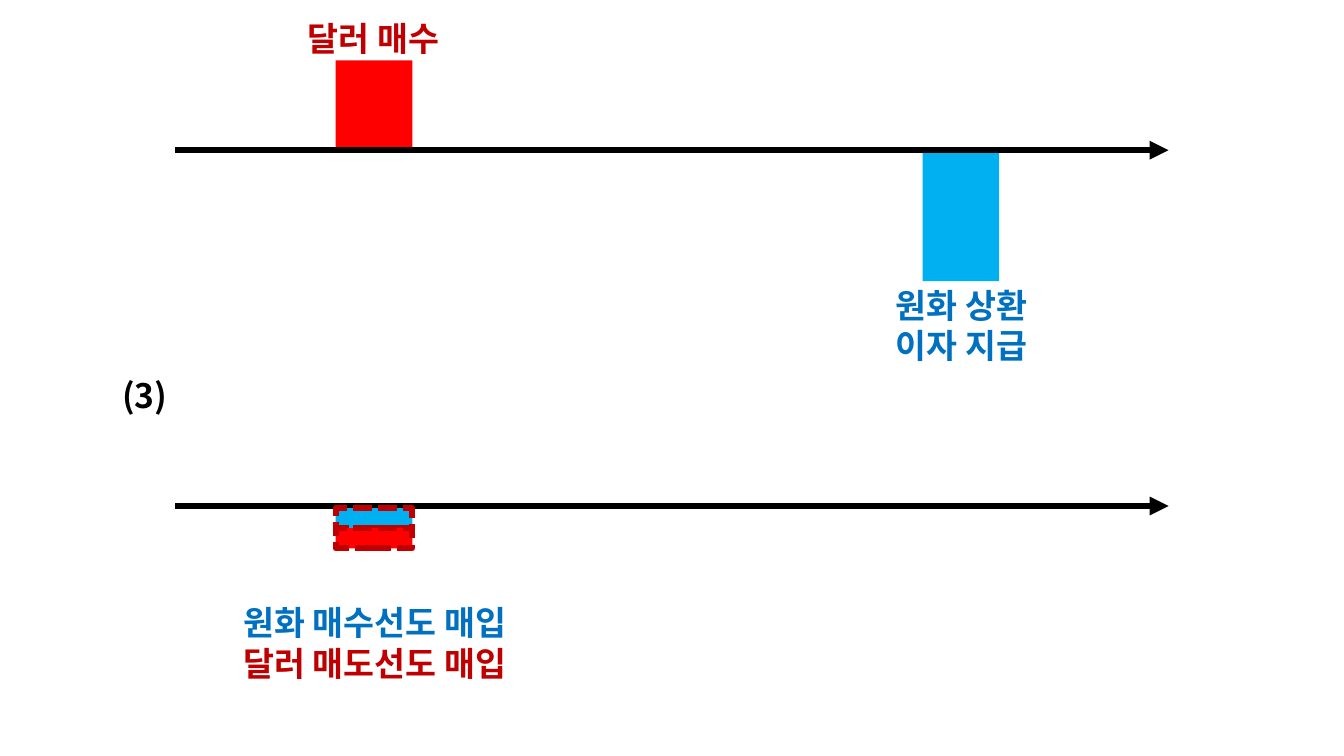
from lxml.etree import SubElement
from pptx import Presentation
from pptx.dml.color import RGBColor
from pptx.enum.dml import MSO_LINE
from pptx.enum.shapes import MSO_CONNECTOR, MSO_SHAPE
from pptx.enum.text import MSO_AUTO_SIZE, PP_ALIGN
from pptx.oxml.ns import qn
from pptx.util import Emu, Pt

EMU_PER_PX = 9144
FONT = "Noto Sans CJK KR"
COLORS = {
    "black": "000000",
    "dollar": "FF0000",
    "dollar_text": "C00000",
    "won": "00B0F0",
    "won_text": "0070C0",
}
AXIS_LEFT, AXIS_RIGHT = 174, 1159
SPOT_AXIS_Y, FORWARD_AXIS_Y = 149, 502
TODAY_X, MATURITY_X = 333, 915
FLOW_WIDTH = 76
FORWARD_HEIGHT = 20


def px(length):
    return Emu(length * EMU_PER_PX)


def rgb(color):
    return RGBColor.from_string(COLORS[color])


def add_time_axis(slide, y):
    axis = slide.shapes.add_connector(
        MSO_CONNECTOR.STRAIGHT, px(AXIS_LEFT), px(y), px(AXIS_RIGHT), px(y))
    axis.line.color.rgb = rgb("black")
    axis.line.width = Pt(4.5)
    SubElement(axis.line._get_or_add_ln(), qn("a:tailEnd"), type="triangle")
    SubElement(axis._element.spPr, qn("a:effectLst"))


def add_cash_flow(slide, left, top, height, color, is_forward=False):
    """Draw a cash flow block; a forward contract gets a dashed outline."""
    flow = slide.shapes.add_shape(
        MSO_SHAPE.RECTANGLE, px(left), px(top), px(FLOW_WIDTH), px(height))
    flow.shadow.inherit = False
    flow.fill.solid()
    flow.fill.fore_color.rgb = rgb(color)
    if is_forward:
        flow.line.color.rgb = rgb("dollar_text")
        flow.line.width = Pt(4.5)
        flow.line.dash_style = MSO_LINE.SQUARE_DOT
        dash = flow.line._get_or_add_ln().find(qn("a:prstDash"))
        dash.set("val", "sysDash")
    else:
        flow.line.fill.background()


def add_label(slide, left, top, width, height, lines):
    """Add centred bold lines, given as (wording, color) pairs."""
    label = slide.shapes.add_textbox(px(left), px(top), px(width), px(height))
    frame = label.text_frame
    frame.word_wrap = True
    frame.auto_size = MSO_AUTO_SIZE.SHAPE_TO_FIT_TEXT
    for index, (wording, color) in enumerate(lines):
        line = frame.add_paragraph() if index else frame.paragraphs[0]
        line.alignment = PP_ALIGN.CENTER
        line.line_spacing = Pt(29)
        run = line.add_run()
        run.text = wording
        run.font.color.rgb = rgb(color)
        for attribute, value in {"size": Pt(24), "bold": True, "name": FONT}.items():
            setattr(run.font, attribute, value)
        SubElement(run._r.get_or_add_rPr(), qn("a:ea"), typeface=FONT)


def main():
    deck = Presentation()
    deck.slide_width, deck.slide_height = px(1333), px(750)
    slide = deck.slides.add_slide(deck.slide_layouts[6])

    add_cash_flow(slide, MATURITY_X, 148, 131, "won")
    add_cash_flow(slide, TODAY_X, 60, 88, "dollar")
    add_time_axis(slide, SPOT_AXIS_Y)
    add_label(slide, 272, 13, 197, 50, [("달러 매수", "dollar_text")])

    add_time_axis(slide, FORWARD_AXIS_Y)
    add_label(slide, 207, 592, 329, 91, [
        ("원화 매수선도 매입", "won_text"),
        ("달러 매도선도 매입", "dollar_text"),
    ])
    add_label(slide, 855, 277, 197, 91, [
        ("원화 상환", "won_text"),
        ("이자 지급", "won_text"),
    ])
    for row, color in enumerate(("won", "dollar")):
        top = 504 + row * FORWARD_HEIGHT
        add_cash_flow(slide, TODAY_X, top, FORWARD_HEIGHT, color, is_forward=True)
    add_label(slide, 45, 367, 197, 50, [("(3)", "black")])

    deck.save("out.pptx")


if __name__ == "__main__":
    main()
